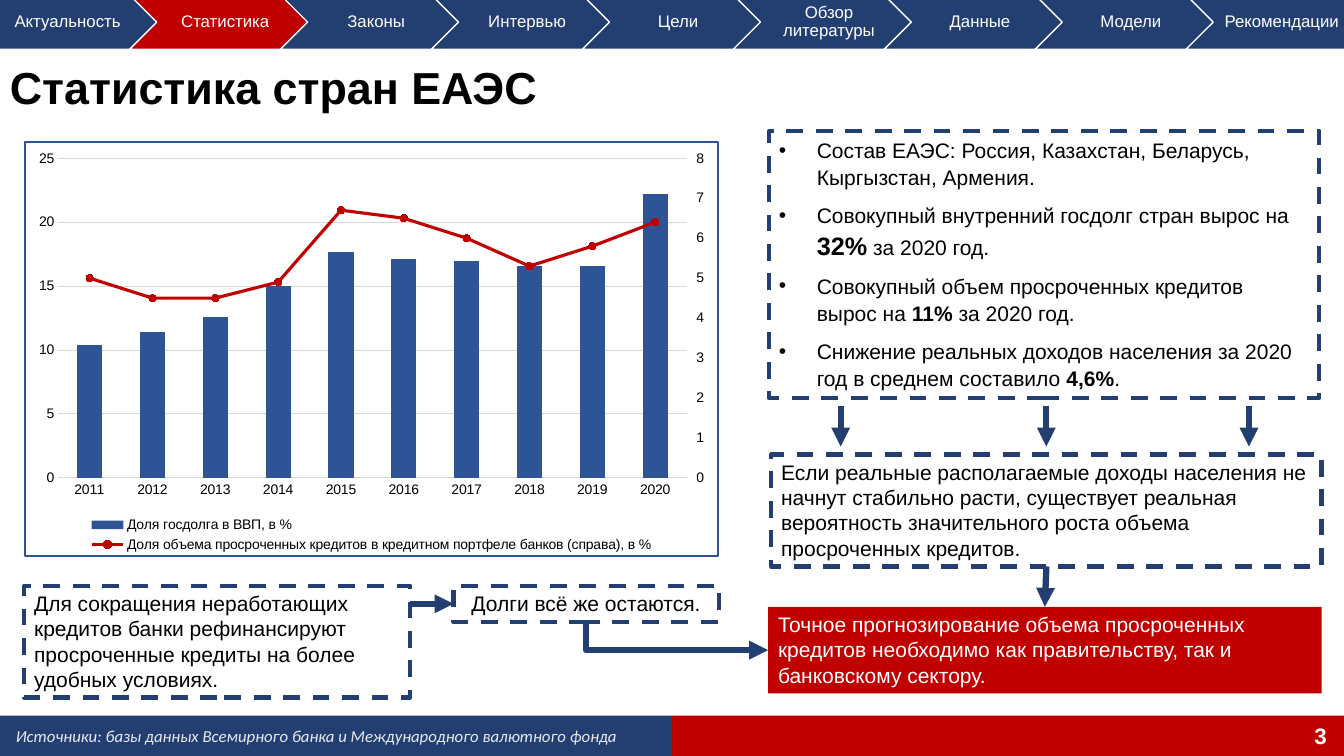
from lxml import etree
from pptx import Presentation
from pptx.chart.data import CategoryChartData as Data
from pptx.dml.color import RGBColor
from pptx.enum.chart import (XL_CHART_TYPE as Kind, XL_LEGEND_POSITION as Spot,
                             XL_MARKER_STYLE as Dot, XL_TICK_MARK as Tick)
from pptx.enum.dml import MSO_LINE as Dash
from pptx.enum.shapes import MSO_CONNECTOR as Link, MSO_SHAPE as Form
from pptx.enum.text import MSO_ANCHOR as Anchor, PP_ALIGN as Align
from pptx.oxml import parse_xml
from pptx.oxml.ns import nsdecls, qn
from pptx.util import Inches, Pt

rgb = RGBColor.from_string
NAVY, RED, BLUE, GREY = "233F71", "C00000", "2F5496", "D9D9D9"
BLACK, WHITE, RECT = "000000", "FFFFFF", Form.RECTANGLE

deck = Presentation()
deck.slide_width, deck.slide_height = Inches(13.33), Inches(7.5)
shapes = deck.slides.add_slide(deck.slide_layouts[6]).shapes
# Grid of 100 columns and 100 rows
COL, ROW = deck.slide_width / 100, deck.slide_height / 100


def box(x, y, w, h, text="", form=None, fill=None, edge=None, size=15, color=BLACK,
        font="Arial", bold=False, italic=False, align=Align.LEFT, mid=False):
    area = int(x * COL), int(y * ROW), int(w * COL), int(h * ROW)
    item = shapes.add_shape(form, *area) if form else shapes.add_textbox(*area)
    if form:
        item.shadow.inherit = False
    for paint, tint in ((item.fill, fill), (item.line.fill, edge)):
        if tint:
            paint.solid()
            paint.fore_color.rgb = rgb(tint)
        else:
            paint.background()
    if edge:
        item.line.width = Pt(1 if fill else 3)
        item.line.dash_style = Dash.SOLID if fill else Dash.DASH
    frame = item.text_frame
    frame.word_wrap = True
    frame.vertical_anchor = Anchor.MIDDLE if mid else Anchor.TOP
    frame.text = text
    para = frame.paragraphs[0]
    para.alignment = align
    for run in para.runs:
        run.font.name, run.font.size = font, Pt(size)
        run.font.bold, run.font.italic = bold, italic
        run.font.color.rgb = rgb(color)
    return item


def arrow(x1, y1, x2, y2, start=None, stop=None, kind=Link.STRAIGHT):
    link = shapes.add_connector(kind, int(x1 * COL), int(y1 * ROW),
                                int(x2 * COL), int(y2 * ROW))
    if start:
        link.begin_connect(*start)
    if stop:
        link.end_connect(*stop)
    link.line.color.rgb = rgb(NAVY)
    link.line.width = Pt(4.5)
    props = link._element.spPr
    etree.SubElement(props.find(qn("a:ln")), qn("a:tailEnd"), type="triangle")
    etree.SubElement(props, qn("a:effectLst"))
    return link


# Footer
box(50, 94.67, 50, 5.33, form=RECT, fill=RED)
box(0, 94.67, 50, 5.33, form=RECT, fill=NAVY)
box(76.95, 94.67, 22.5, 5.33, "3", size=16, color=WHITE, bold=True,
    align=Align.RIGHT, mid=True)
box(0.45, 95.33, 49.55, 4,
    "Источники: базы данных Всемирного банка и Международного валютного фонда",
    size=12, color="E8E9EF", font="Calibri", italic=True)

# Title
title = box(0, 7.07, 100, 9.6, "Статистика стран ЕАЭС", size=32, bold=True, mid=True)
title.text_frame.paragraphs[0].line_spacing = 0.9

# Facts: every second part is bold
facts = [
    ["Состав ЕАЭС: Россия, Казахстан, Беларусь, Кыргызстан, Армения."],
    ["Совокупный внутренний госдолг стран вырос на ", "32%", " за 2020 год."],
    ["Совокупный объем просроченных кредитов вырос на ", "11% ", "за 2020 год."],
    ["Снижение реальных доходов населения за 2020 год в среднем составило ", "4,6%", "."],
]
frame = box(57.22, 17.33, 40.95, 35.33, form=RECT, edge=NAVY).text_frame
for row, parts in enumerate(facts):
    para = frame.add_paragraph() if row else frame.paragraphs[0]
    para.alignment, para.line_spacing, para.space_after = Align.LEFT, 1.07, Pt(8)
    props = para._p.get_or_add_pPr()
    props.set("marL", str(Pt(27)))
    props.set("indent", str(-Pt(27)))
    etree.SubElement(props, qn("a:buFont"), typeface="Arial")
    etree.SubElement(props, qn("a:buChar"), char="•")
    for i, part in enumerate(parts):
        run = para.add_run()
        run.text = part
        run.font.name, run.font.bold = "Arial", i == 1
        run.font.size = Pt(18 if part == "32%" else 15)
        run.font.color.rgb = rgb(BLACK)

# Reasoning boxes
box(1.8, 77.47, 28.73, 14.8, "Для сокращения неработающих кредитов банки рефинансируют "
    "просроченные кредиты на более удобных условиях.", RECT, edge=NAVY)
debt = box(33.75, 77.47, 19.73, 4.8, "Долги всё же остаются.", RECT, edge=NAVY,
           align=Align.CENTER)
risk = box(57.38, 60.13, 40.95, 14.8, "Если реальные располагаемые доходы населения не "
           "начнут стабильно расти, существует реальная вероятность значительного "
           "роста объема просроченных кредитов.", RECT, edge=NAVY)
goal = box(57.15, 80.27, 41.18, 11.47, "Точное прогнозирование объема просроченных кредитов "
           "необходимо как правительству, так и банковскому сектору.",
           RECT, fill=RED, color=WHITE)

# Arrows
for x in (62.55, 77.85, 92.93):
    arrow(x, 53.73, x, 59.07)
arrow(30.53, 79.87, 33.75, 79.87, stop=(debt, 1))
arrow(77.85, 74.93, 77.85, 80.27, (risk, 2), (goal, 0))
bend = arrow(43.6, 82.27, 57.15, 86, (debt, 2), (goal, 1), Link.ELBOW)
# One-corner elbow: down, then right
wide, tall = bend.width, bend.height
bend.left, bend.top = bend.left + (wide - tall) // 2, bend.top + (tall - wide) // 2
bend.width, bend.height = tall, wide
props = bend._element.spPr
for tag, key, val in (("prstGeom", "prst", "bentConnector2"),
                      ("xfrm", "rot", "16200000"), ("xfrm", "flipH", "1")):
    props.find(qn("a:" + tag)).set(key, val)

# Chart
data = Data()
data.categories = [str(year) for year in range(2011, 2021)]
data.add_series("Доля госдолга в ВВП, в %",
                [10.4, 11.4, 12.6, 15, 17.7, 17.1, 17, 16.6, 16.6, 22.2])
data.add_series("Доля объема просроченных кредитов в кредитном портфеле банков (справа), в %",
                [5, 4.5, 4.5, 4.9, 6.7, 6.5, 6, 5.3, 5.8, 6.4])
chart = shapes.add_chart(Kind.COLUMN_CLUSTERED, int(1.8 * COL), int(18.67 * ROW),
                         int(51.7 * COL), int(55.07 * ROW), data).chart
chart.has_title, chart.has_legend = False, True
chart.font.name, chart.font.size = "Arial", Pt(10)
chart.font.color.rgb = rgb(BLACK)
chart.legend.position, chart.legend.include_in_layout = Spot.BOTTOM, False
years, share = chart.category_axis, chart.value_axis
years.major_tick_mark = share.major_tick_mark = Tick.NONE
years.format.line.color.rgb = share.major_gridlines.format.line.color.rgb = rgb(GREY)
share.format.line.fill.background()
share.minimum_scale, share.maximum_scale, share.major_unit = 0, 25, 5
bars = chart.plots[0]
bars.gap_width, bars.vary_by_categories = 150, False

# Second series as a line on the right axis
late = bars.series[1]._element
for flag in late.findall(qn("c:invertIfNegative")):
    late.remove(flag)
curve = parse_xml(f'<c:lineChart {nsdecls("c")}><c:grouping val="standard"/>'
                  '<c:varyColors val="0"/><c:marker val="1"/>'
                  '<c:axId val="501"/><c:axId val="502"/></c:lineChart>')
curve.insert(2, late)
bars._element.addnext(curve)
for tag, own, other, side, gone, span, cross in (
        ("catAx", 501, 502, "b", 1, "", "autoZero"),
        ("valAx", 502, 501, "r", 0, '<c:max val="8"/><c:min val="0"/>', "max")):
    share._element.addnext(parse_xml(
        f'<c:{tag} {nsdecls("c", "a")}><c:axId val="{own}"/><c:scaling>'
        f'<c:orientation val="minMax"/>{span}</c:scaling><c:delete val="{gone}"/>'
        f'<c:axPos val="{side}"/><c:majorTickMark val="out"/><c:tickLblPos val="nextTo"/>'
        '<c:spPr><a:ln><a:noFill/></a:ln></c:spPr>'
        f'<c:crossAx val="{other}"/><c:crosses val="{cross}"/></c:{tag}>'))
loans = chart.plots[1].series[0]
loans.smooth = False
loans.format.line.width = Pt(2.25)
loans.marker.style, loans.marker.size = Dot.CIRCLE, 5
mark = loans.marker.format
for paint, tint in ((bars.series[0].format.fill, BLUE), (loans.format.line.fill, RED),
                    (mark.fill, RED), (mark.line.fill, RED)):
    paint.solid()
    paint.fore_color.rgb = rgb(tint)
chart._chartSpace.find(qn("c:txPr")).addprevious(parse_xml(
    f'<c:spPr {nsdecls("c", "a")}><a:noFill/><a:ln w="{Pt(1.5)}"><a:solidFill>'
    f'<a:srgbClr val="{BLUE}"/></a:solidFill></a:ln></c:spPr>'))

# Section ribbon
names = ["Актуальность", "Статистика", "Законы", "Интервью", "Цели",
         "Обзор литературы", "Данные", "Модели", "Рекомендации"]
for i, name in enumerate(names):
    x = -1.6 + 11.23 * i
    box(x, -0.67, 14.02, 7.2, form=Form.CHEVRON if i else Form.PENTAGON,
        fill=RED if name == "Статистика" else NAVY, edge=WHITE)
    frame = box(x + 2.03 if i else x, -0.67, 9.98 if i else 13.05, 7.2, name,
                size=12, color=WHITE, align=Align.CENTER, mid=True).text_frame
    frame.margin_left, frame.margin_right = Inches(0.05), Inches(0.02)
    frame.paragraphs[0].line_spacing = 0.9

deck.save("out.pptx")
